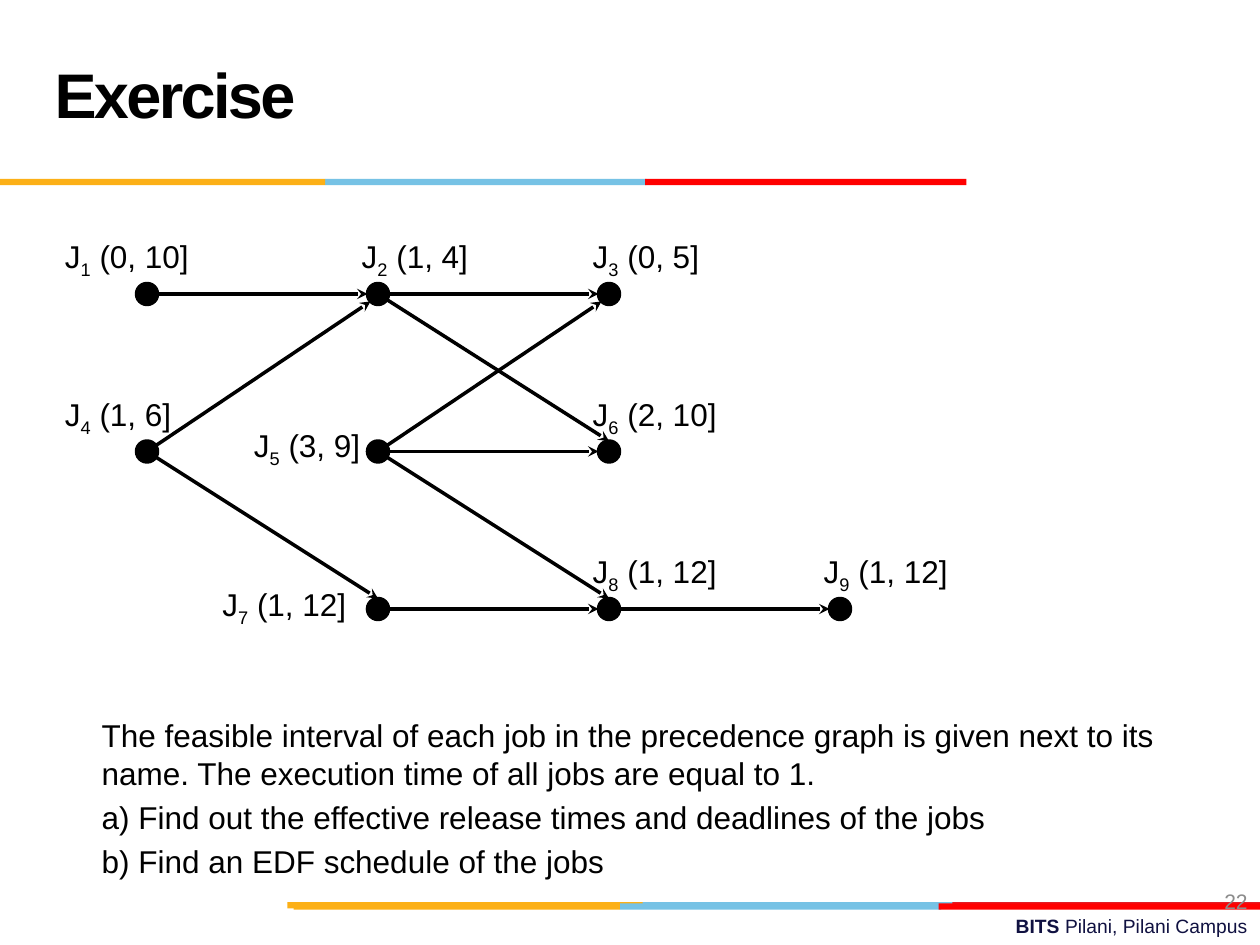
from lxml import etree
from pptx import Presentation
from pptx.dml.color import RGBColor
from pptx.enum.shapes import MSO_CONNECTOR, MSO_SHAPE
from pptx.enum.text import MSO_ANCHOR, PP_ALIGN
from pptx.oxml.ns import qn
from pptx.util import Pt

STRAIGHT = MSO_CONNECTOR.STRAIGHT
RECTANGLE, OVAL = MSO_SHAPE.RECTANGLE, MSO_SHAPE.OVAL
TOP, MIDDLE = MSO_ANCHOR.TOP, MSO_ANCHOR.MIDDLE
LEFT, RIGHT = PP_ALIGN.LEFT, PP_ALIGN.RIGHT

FONT, BLACK = "Arial", "000000"
AMBER, SKY, RED, CRIMSON = "FCB017", "76C2E5", "FF0000", "E31C24"

TITLE = "Exercise"
QUESTIONS = [
    "The feasible interval of each job in the precedence graph is given next to its name. "
    "The execution time of all jobs are equal to 1.",
    "a) Find out the effective release times and deadlines of the jobs",
    "b) Find an EDF schedule of the jobs",
]
PAGE_NUMBER = "22"
CAMPUS = [("BITS ", True), ("Pilani, Pilani Campus", False)]

STRIPS = [
    (364.3, 515.5, 183.6, SKY), (544.3, 515.5, 175.7, CRIMSON), (164.2, 515.5, 203, AMBER),
    (354.2, 516.2, 183.6, SKY), (167.8, 516.2, 186.4, AMBER), (536.4, 516.2, 183.6, RED),
    (185.8, 102.2, 183.6, SKY), (0, 102.2, 185.8, AMBER), (368.6, 102.2, 183.6, RED),
]
STRIP_HEIGHT = 3.6

COLUMNS, ROWS = [84, 216, 348, 480], [168, 258, 348]
RADIUS = 6
ABOVE, ABOVE_LEFT = (-16.4, -36), (-54, -36)
JOBS = {
    1: (0, 0, "(0, 10]", ABOVE_LEFT), 2: (1, 0, "(1, 4]", ABOVE), 3: (2, 0, "(0, 5]", ABOVE),
    4: (0, 1, "(1, 6]", ABOVE_LEFT), 5: (1, 1, "(3, 9]", (-78, -18)), 6: (2, 1, "(2, 10]", ABOVE),
    7: (1, 2, "(1, 12]", (-96, -17)), 8: (2, 2, "(1, 12]", ABOVE), 9: (3, 2, "(1, 12]", ABOVE),
}
PRECEDENCES = [(1, 2), (2, 3), (4, 2), (5, 6), (7, 8), (8, 9), (5, 3), (4, 7), (5, 8), (2, 6)]


def color(hex_code):
    """Turn a hex string into a colour."""
    return RGBColor.from_string(hex_code)


def style(font, size, hex_code=BLACK, bold=False):
    """Format one font."""
    font.name, font.size, font.bold = FONT, Pt(size), bold
    font.color.rgb = color(hex_code)


def add_solid(slide, preset, left, top, width, height, hex_code):
    """Add a filled shape without outline."""
    solid = slide.shapes.add_shape(preset, Pt(left), Pt(top), Pt(width), Pt(height))
    solid.shadow.inherit = False
    solid.fill.solid()
    solid.fill.fore_color.rgb = color(hex_code)
    solid.line.fill.background()
    return solid


def add_text(slide, left, top, width, height, anchor=TOP):
    """Add a wrapping text box and return its frame."""
    frame = slide.shapes.add_textbox(Pt(left), Pt(top), Pt(width), Pt(height)).text_frame
    frame.word_wrap = True
    frame.vertical_anchor = anchor
    return frame


def center(job):
    """Return the centre of a job's dot."""
    column, row = JOBS[job][:2]
    return COLUMNS[column], ROWS[row]


def add_precedence(slide, before, after):
    """Draw an arrow from the centre of one job to the near edge of another."""
    (x1, y1), (x2, y2) = center(before), center(after)
    diagonal = RADIUS * 0.71
    if y1 == y2:
        x2 -= RADIUS
    elif y1 < y2:
        y2 -= RADIUS
    else:
        x2, y2 = x2 - diagonal, y2 + diagonal
    arrow = slide.shapes.add_connector(STRAIGHT, Pt(x1), Pt(y1), Pt(x2), Pt(y2))
    arrow.line.color.rgb = color(BLACK)
    arrow.line.width = Pt(2)
    outline = arrow.line._get_or_add_ln()
    etree.SubElement(outline, qn("a:headEnd"), type="oval")
    etree.SubElement(outline, qn("a:tailEnd"), type="stealth")
    etree.SubElement(arrow._element.spPr, qn("a:effectLst"))


def add_job(slide, job):
    """Draw a job's dot and its label with the feasible interval."""
    interval, (dx, dy) = JOBS[job][2:]
    x, y = center(job)
    dot = add_solid(slide, OVAL, x - RADIUS, y - RADIUS, 2 * RADIUS, 2 * RADIUS, BLACK)
    dot.line.color.rgb = color(BLACK)
    dot.line.width = Pt(2)
    label = add_text(slide, x + dx, y + dy, 114, 29).paragraphs[0]
    for part in ("J", str(job), f" {interval}"):
        run = label.add_run()
        run.text = part
        style(run.font, 18)
    label.runs[1].font._element.set("baseline", "-25000")


def add_title(slide):
    """Place and format the title."""
    title = slide.shapes.title
    title.left, title.top, title.width, title.height = Pt(24), Pt(12), Pt(498), Pt(90)
    frame = title.text_frame
    frame.text = TITLE
    frame.vertical_anchor = MIDDLE
    heading = frame.paragraphs[0]
    heading.alignment, heading.line_spacing = LEFT, Pt(36)
    style(heading.runs[0].font, 36, bold=True)
    heading.runs[0].font._element.set("spc", "-150")


def add_questions(slide):
    """Add the exercise text."""
    frame = add_text(slide, 24, 405.6, 648, 108)
    frame.text = "\n".join(QUESTIONS)
    for index, question in enumerate(frame.paragraphs):
        question._p.get_or_add_pPr().set("marL", str(Pt(27)))
        question.space_before = Pt(3.6 if index else 0)
        style(question.runs[0].font, 18)


def add_footer(slide):
    """Add the campus line and the page number."""
    campus = add_text(slide, 258, 519, 462, 21).paragraphs[0]
    campus.alignment = RIGHT
    for words, bold in CAMPUS:
        run = campus.add_run()
        run.text = words
        style(run.font, 11, "101141", bold)
    number = add_text(slide, 552, 500.4, 168, 28.8, MIDDLE).paragraphs[0]
    number.text, number.alignment = PAGE_NUMBER, RIGHT
    style(number.runs[0].font, 12, "8C8C8C")


def main():
    """Build the slide and save it."""
    deck = Presentation()
    deck.slide_width, deck.slide_height = Pt(720), Pt(540)
    slide = deck.slides.add_slide(deck.slide_layouts[5])
    for left, top, width, hex_code in STRIPS:
        add_solid(slide, RECTANGLE, left, top, width, STRIP_HEIGHT, hex_code)
    add_title(slide)
    add_footer(slide)
    add_questions(slide)
    for before, after in PRECEDENCES:
        add_precedence(slide, before, after)
    for job in JOBS:
        add_job(slide, job)
    deck.save("out.pptx")


if __name__ == "__main__":
    main()
